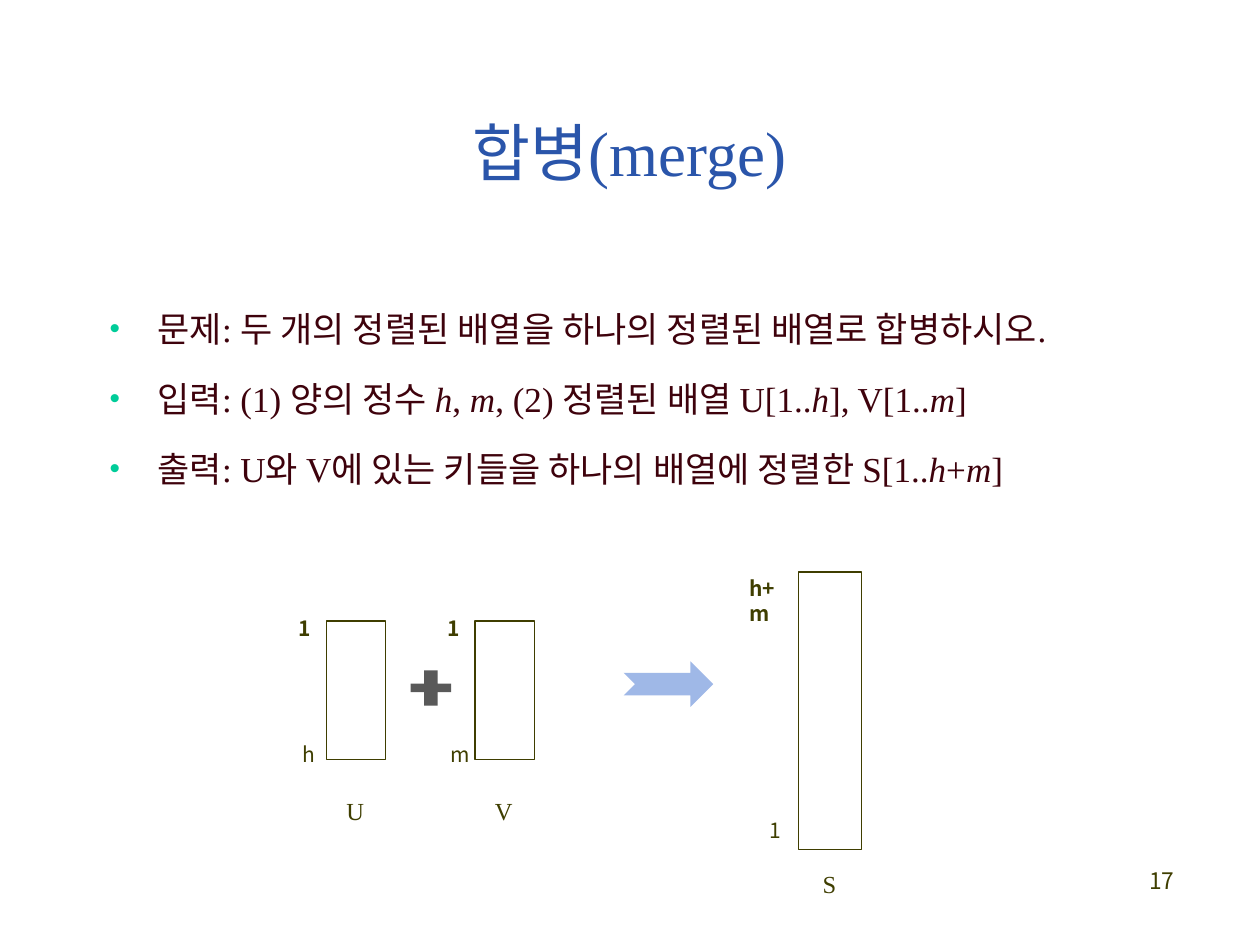
from lxml.etree import SubElement as Sub
from pptx import Presentation
from pptx.dml.color import RGBColor as RGB
from pptx.enum.shapes import MSO_SHAPE as SHAPE
from pptx.enum.text import MSO_ANCHOR as ANCHOR, PP_ALIGN as ALIGN
from pptx.oxml.ns import qn
from pptx.util import Inches, Pt

INK = {"title": "2A55AA", "body": "3E020C", "line": "3F3E00",
       "dot": "00CC99", "plus": "595959", "arrow": "9FB8E7"}
SERIF, SANS = "Times New Roman", "Noto Sans CJK KR"
ITEMS = ["문제: 두 개의 정렬된 배열을 하나의 정렬된 배열로 합병하시오.",
         "입력: (1) 양의 정수 *h*, *m*, (2) 정렬된 배열 U[1..*h*], V[1..*m*]",
         "출력: U와 V에 있는 키들을 하나의 배열에 정렬한 S[1..*h*+*m*]"]


def style(para, size, face, ink, bold=False):
    """Set the font of a whole paragraph."""
    font = para.font
    font.size, font.name, font.bold = Pt(size), face, bold
    font.color.rgb = RGB.from_string(INK[ink])
    props = para._p.get_or_add_pPr().get_or_add_defRPr()
    Sub(props, qn("a:ea"), typeface=SANS)


def place(shape, x, y, w, h):
    """Move and size a shape, in inches."""
    shape.left, shape.top = Inches(x), Inches(y)
    shape.width, shape.height = Inches(w), Inches(h)


def label(slide, text, x, y, w, h, size=12, face=SANS, bold=False, wrap=False):
    """Add a short text and return its paragraph."""
    frame = slide.shapes.add_textbox(*map(Inches, (x, y, w, h))).text_frame
    frame.word_wrap = wrap
    para = frame.paragraphs[0]
    para.text = text
    style(para, size, face, "line", bold)
    return para


def figure(slide, kind, x, y, w, h, fill=None):
    """Add a filled shape, or an outlined one when there is no fill."""
    shape = slide.shapes.add_shape(kind, *map(Inches, (x, y, w, h)))
    shape.shadow.inherit = False
    if fill:
        shape.fill.solid()
        shape.fill.fore_color.rgb = RGB.from_string(INK[fill])
        shape.line.fill.background()
    else:
        shape.fill.background()
        shape.line.color.rgb = RGB.from_string(INK["line"])
        shape.line.width = Pt(0.75)
    return shape


def heading(slide, x, y, w, h):
    """Fill the title placeholder."""
    title = slide.shapes.title
    place(title, x, y, w, h)
    title.text_frame.text = "합병(merge)"
    title.text_frame.vertical_anchor = ANCHOR.MIDDLE
    para = title.text_frame.paragraphs[0]
    para.alignment = ALIGN.CENTER
    style(para, 36, SERIF, "title")


def bullet(para):
    """Give a paragraph a hanging coloured bullet."""
    props = para._p.get_or_add_pPr()
    indent = Inches(0.38)
    props.set("marL", str(indent))
    props.set("indent", str(-indent))
    Sub(Sub(props, qn("a:buClr")), qn("a:srgbClr"), val=INK["dot"])
    Sub(props, qn("a:buSzPct"), val="85000")
    Sub(props, qn("a:buChar"), char="•")


def points(slide, x, y, w, h):
    """Fill the body placeholder, with starred parts in italics."""
    body = slide.placeholders[1]
    place(body, x, y, w, h)
    frame = body.text_frame
    for i, item in enumerate(ITEMS):
        para = frame.add_paragraph() if i else frame.paragraphs[0]
        bullet(para)
        para.line_spacing, para.space_before = 1.5, Pt(4)
        style(para, 20, SERIF, "body")
        for j, part in enumerate(item.split("*")):
            run = para.add_run()
            run.text = part
            run.font.italic = j % 2 == 1


def source(slide, name, last, x, y, w, h):
    """Draw an input array with its name below and its bounds at the left."""
    figure(slide, SHAPE.RECTANGLE, x, y, w, h)
    label(slide, name, x + 0.06, y + h + 0.24, 0.34, 0.34, 14, SERIF)
    label(slide, "1", x - 0.32, y - 0.09, 0.3, 0.3, bold=True)
    label(slide, last, x - 0.29, y + h - 0.19, 0.33, 0.3)


def result(slide, x, y, w, h):
    """Draw the merged array with its name and bounds."""
    figure(slide, SHAPE.RECTANGLE, x, y, w, h)
    label(slide, "S", x + 0.09, y + h + 0.11, 0.31, 0.34, 14, SERIF)
    label(slide, "h+m", x - 0.49, y - 0.02, 0.53, 0.3, bold=True, wrap=True)
    label(slide, "1", x - 0.33, y + h - 0.3, 0.3, 0.3)


def diagram(slide, x, y):
    """Draw two arrays, a plus sign, an arrow and the merged array."""
    for i, (name, last) in enumerate((("U", "h"), ("V", "m"))):
        source(slide, name, last, x + i * 1.18, y + 0.39, 0.47, 1.1)
    plus = figure(slide, SHAPE.CROSS, x + 0.67, y + 0.78, 0.32, 0.28, "plus")
    plus.adjustments[0] = 0.38
    figure(slide, SHAPE.NOTCHED_RIGHT_ARROW,
           x + 2.36, y + 0.71, 0.71, 0.36, "arrow")
    result(slide, x + 3.75, y, 0.5, 2.2)


def main():
    """Build and save the slide."""
    deck = Presentation()
    deck.slide_width, deck.slide_height = Inches(10), Inches(7.5)
    slide = deck.slides.add_slide(deck.slide_layouts[1])
    heading(slide, 0.75, 0.58, 8.5, 1.25)
    points(slide, 0.77, 2.22, 8.45, 1.73)
    diagram(slide, 2.59, 4.54)
    page = label(slide, "17", 8.86, 6.83, 0.56, 0.5, 13, wrap=True)
    page.alignment = ALIGN.RIGHT
    deck.save("out.pptx")


if __name__ == "__main__":
    main()
